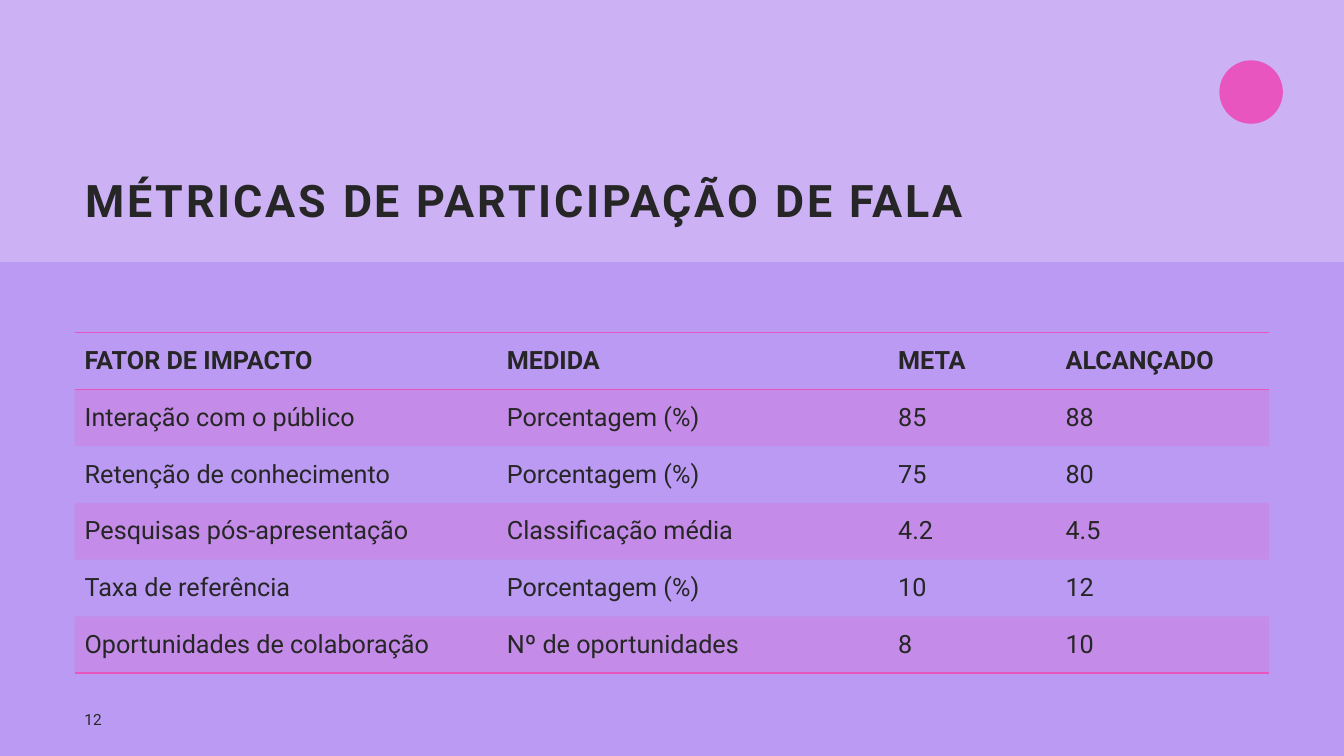
from dataclasses import dataclass

from lxml import etree
from pptx import Presentation
from pptx.dml.color import RGBColor
from pptx.enum.shapes import MSO_SHAPE
from pptx.enum.text import MSO_ANCHOR
from pptx.oxml.ns import qn
from pptx.util import Cm, Pt

RECTANGLE = MSO_SHAPE.RECTANGLE
OVAL = MSO_SHAPE.OVAL
MIDDLE = MSO_ANCHOR.MIDDLE
BOTTOM = MSO_ANCHOR.BOTTOM

FONT = "Roboto"
INK = "262626"
PINK = "E955BE"
LILAC = "D2BBF7"
PURPLE = "BB9AF3"

COLUMN_WIDTHS = (10.64, 9.86, 4.22, 5.38)
ROW_HEIGHT = 1.43
METRICS = (
    ("FATOR DE IMPACTO", "MEDIDA", "META", "ALCANÇADO"),
    ("Interação com o público", "Porcentagem (%)", "85", "88"),
    ("Retenção de conhecimento", "Porcentagem (%)", "75", "80"),
    ("Pesquisas pós-apresentação", "Classificação média", "4.2", "4.5"),
    ("Taxa de referência", "Porcentagem (%)", "10", "12"),
    ("Oportunidades de colaboração", "Nº de oportunidades", "8", "10"),
)
RULED_EDGES = (0, 1, len(METRICS))


@dataclass(frozen=True)
class Box:
    left: float
    top: float
    width: float
    height: float

    def lengths(self) -> tuple:
        return Cm(self.left), Cm(self.top), Cm(self.width), Cm(self.height)


@dataclass(frozen=True)
class Decoration:
    preset: int
    box: Box
    color: str
    opacity: int = 100


@dataclass(frozen=True)
class Label:
    text: str
    box: Box
    size: int
    anchor: int
    bold: bool = False
    tracking: float = 0
    line_spacing: float = 1.0


DECORATIONS = (
    Decoration(RECTANGLE, Box(0, 0, 33.87, 6.6), LILAC, 75),
    Decoration(OVAL, Box(30.73, 1.52, 1.6, 1.6), PINK),
)
LABELS = (
    Label("MÉTRICAS DE PARTICIPAÇÃO DE FALA", Box(1.9, 1.78, 27.94, 4.06), 32, BOTTOM,
          bold=True, tracking=2, line_spacing=0.9),
    Label("12", Box(1.88, 17.8, 2.1, 0.64), 11, MIDDLE),
)


def rgb(color: str) -> RGBColor:
    return RGBColor.from_string(color)


def set_fill(fill, element, color: str, opacity: int = 100) -> None:
    """Fill solidly; the element holds the fill's XML, where opacity is added."""
    fill.solid()
    fill.fore_color.rgb = rgb(color)
    if opacity < 100:
        solid = element.find(qn("a:solidFill"))
        etree.SubElement(solid[0], qn("a:alpha"), val=str(opacity * 1000))


def write_text(frame, text: str, *, size: int, bold: bool = False,
               tracking: float = 0, line_spacing: float = 1.0) -> None:
    paragraph = frame.paragraphs[0]
    paragraph.line_spacing = line_spacing
    run = paragraph.add_run()
    run.text = text
    run.font.name = FONT
    run.font.size = Pt(size)
    run.font.bold = bold
    run.font.color.rgb = rgb(INK)
    if tracking:
        run._r.get_or_add_rPr().set("spc", str(int(tracking * 100)))


def add_decoration(slide, decoration: Decoration) -> None:
    shape = slide.shapes.add_shape(decoration.preset, *decoration.box.lengths())
    shape.shadow.inherit = False
    shape.line.fill.background()
    set_fill(shape.fill, shape._element.spPr, decoration.color, decoration.opacity)


def add_label(slide, label: Label) -> None:
    frame = slide.shapes.add_textbox(*label.box.lengths()).text_frame
    frame.word_wrap = True
    frame.vertical_anchor = label.anchor
    write_text(frame, label.text, size=label.size, bold=label.bold,
               tracking=label.tracking, line_spacing=label.line_spacing)


def set_borders(cell, ruled_sides: set) -> None:
    """Draw thin pink lines on the ruled sides and clear the others."""
    properties = cell._tc.get_or_add_tcPr()
    for side in ("L", "R", "T", "B"):
        line = etree.SubElement(properties, qn(f"a:ln{side}"), w=str(Pt(1)))
        if side in ruled_sides:
            solid = etree.SubElement(line, qn("a:solidFill"))
            etree.SubElement(solid, qn("a:srgbClr"), val=PINK)
        else:
            etree.SubElement(line, qn("a:noFill"))


def add_metrics_table(slide) -> None:
    box = Box(1.88, 8.38, sum(COLUMN_WIDTHS), ROW_HEIGHT * len(METRICS))
    table = slide.shapes.add_table(len(METRICS), len(COLUMN_WIDTHS), *box.lengths()).table
    table.horz_banding = False
    for column, width in zip(table.columns, COLUMN_WIDTHS):
        column.width = Cm(width)
    for row_index, values in enumerate(METRICS):
        table.rows[row_index].height = Cm(ROW_HEIGHT)
        edges = (("T", row_index), ("B", row_index + 1))
        ruled_sides = {side for side, edge in edges if edge in RULED_EDGES}
        for column_index, value in enumerate(values):
            cell = table.cell(row_index, column_index)
            cell.vertical_anchor = MIDDLE
            write_text(cell.text_frame, value, size=18, bold=row_index == 0)
            set_borders(cell, ruled_sides)
            if row_index % 2:
                set_fill(cell.fill, cell._tc.tcPr, PINK, 20)
            else:
                cell.fill.background()


def main() -> None:
    presentation = Presentation()
    presentation.slide_width = Cm(33.87)
    presentation.slide_height = Cm(19.05)
    slide = presentation.slides.add_slide(presentation.slide_layouts[6])
    background = slide.background.fill
    background.solid()
    background.fore_color.rgb = rgb(PURPLE)
    for decoration in DECORATIONS:
        add_decoration(slide, decoration)
    for label in LABELS:
        add_label(slide, label)
    add_metrics_table(slide)
    presentation.save("out.pptx")


if __name__ == "__main__":
    main()
